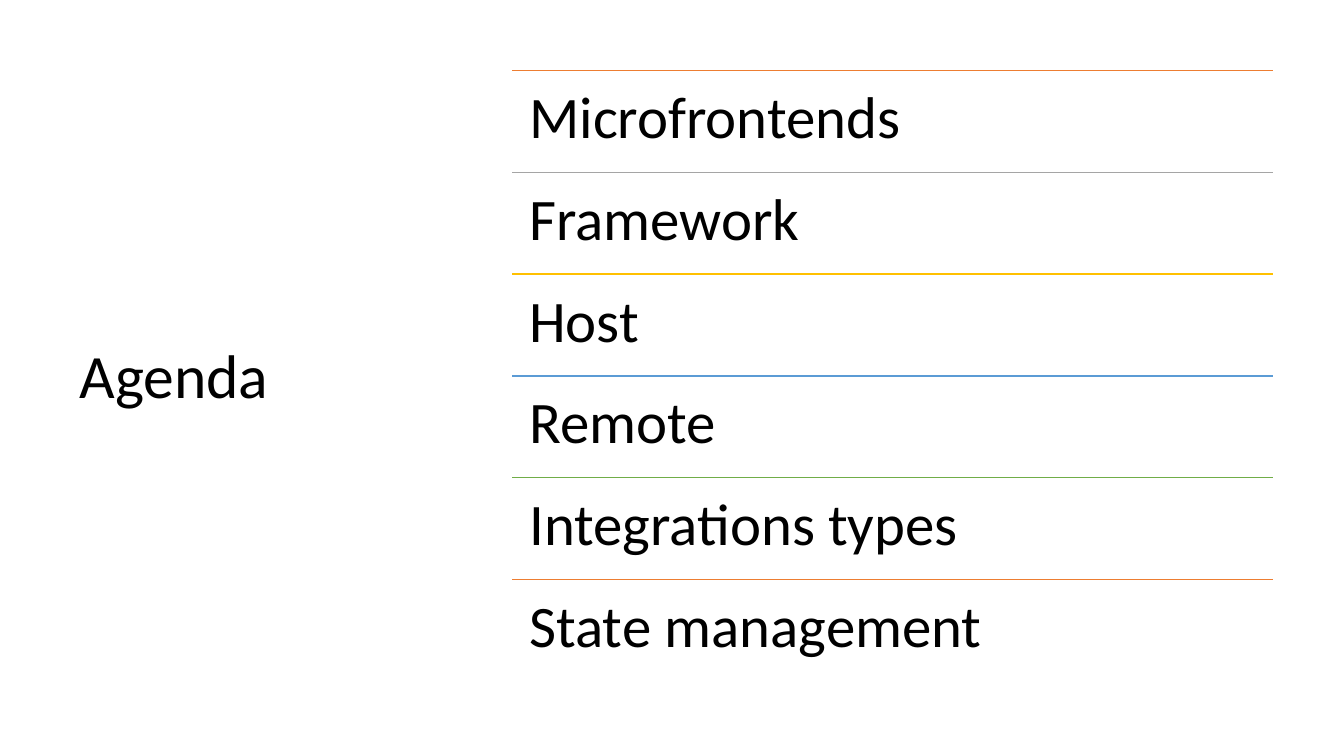
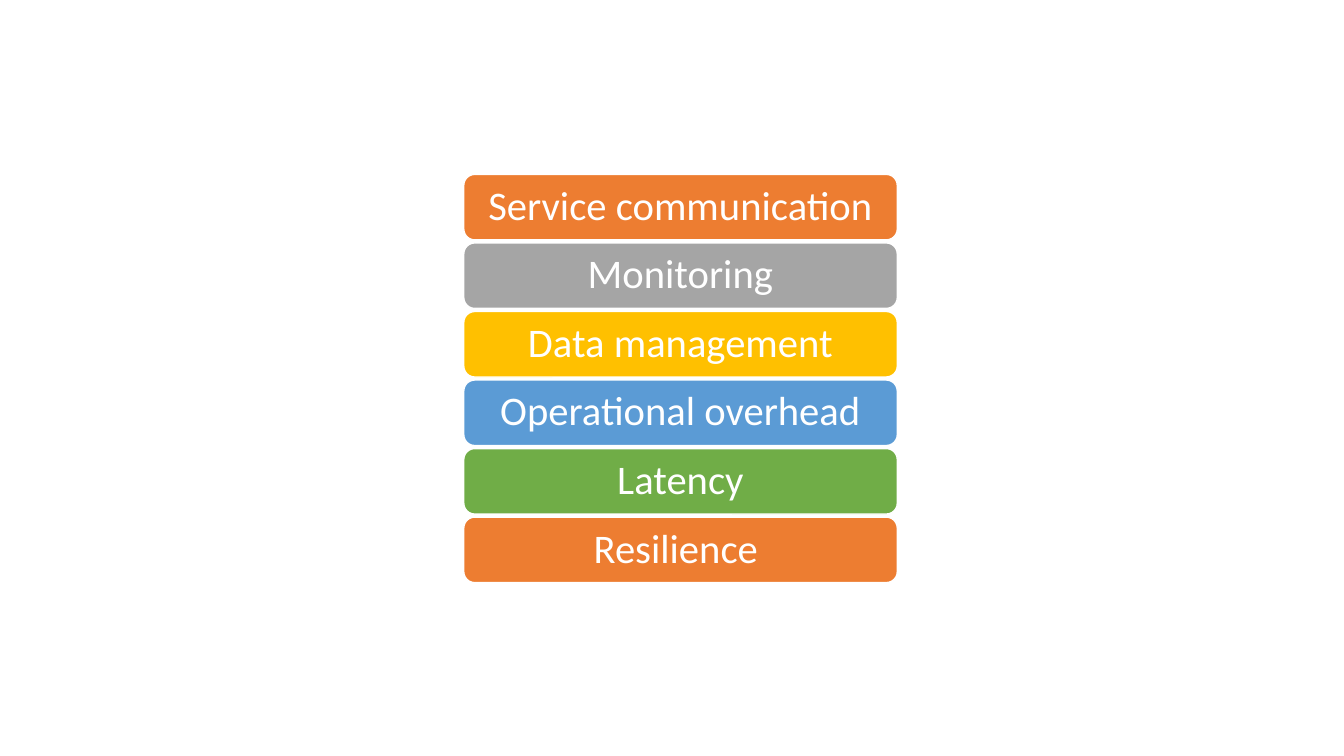
import pptx
import pptx.dml.color
import pptx.enum.shapes
import pptx.enum.text
import pptx.util
from lxml import etree
from pptx.util import Inches

FONT = "Calibri"
COLORS = {
    "text": "000000",
    "light": "FFFFFF",
    "orange": "ED7D31",
    "gray": "A5A5A5",
    "yellow": "FFC000",
    "blue": "5B9BD5",
    "green": "70AD47",
}
ACCENTS = ["orange", "gray", "yellow", "blue", "green", "orange"]

AGENDA = ["Microfrontends", "Framework", "Host", "Remote",
          "Integrations types", "State management"]
CHALLENGES = ["Service communication", "Monitoring", "Data management",
              "Operational overhead", "Latency", "Resilience "]

ALIGN = pptx.enum.text.PP_ALIGN
ANCHOR = pptx.enum.text.MSO_ANCHOR


def rgb(name):
    return pptx.dml.color.RGBColor.from_string(COLORS[name])


def write_text(shape, text, size, color="text", align=ALIGN.LEFT,
               anchor=ANCHOR.MIDDLE, inset=(0.1, 0.05)):
    """Fill a shape with one paragraph; inset is (horizontal, vertical)."""
    frame = shape.text_frame
    frame.word_wrap = True
    frame.vertical_anchor = anchor
    frame.margin_left = frame.margin_right = Inches(inset[0])
    frame.margin_top = frame.margin_bottom = Inches(inset[1])
    para = frame.paragraphs[0]
    para.alignment = align
    para.line_spacing = 0.9
    span = para.add_run()
    span.text = text
    span.font.name = FONT
    span.font.size = pptx.util.Pt(size)
    span.font.color.rgb = rgb(color)


def add_text(page, text, left, top, width, height, **text_format):
    box = page.shapes.add_textbox(
        Inches(left), Inches(top), Inches(width), Inches(height))
    write_text(box, text, **text_format)


def add_rule(page, left, top, width, color):
    rule = page.shapes.add_connector(
        pptx.enum.shapes.MSO_CONNECTOR.STRAIGHT,
        Inches(left), Inches(top), Inches(left + width), Inches(top))
    rule.line.color.rgb = rgb(color)
    rule.line.width = pptx.util.Pt(1)
    etree.SubElement(rule._element.spPr, pptx.oxml.ns.qn("a:effectLst"))


def add_bar(page, text, left, top, width, height, color):
    bar = page.shapes.add_shape(
        pptx.enum.shapes.MSO_SHAPE.ROUNDED_RECTANGLE,
        Inches(left), Inches(top), Inches(width), Inches(height))
    bar.shadow.inherit = False
    bar.fill.solid()
    bar.fill.fore_color.rgb = rgb(color)
    bar.line.color.rgb = rgb("light")
    bar.line.width = pptx.util.Pt(1)
    write_text(bar, text, size=29, color="light", align=ALIGN.CENTER,
               inset=(0.12, 0.06))


def build_agenda(page):
    left, first_top, width, row_height = 5.08, 0.7, 7.55, 1.01
    add_text(page, "Agenda", 0.69, first_top, 3.74, 6.11, size=44)
    for row, (topic, color) in enumerate(zip(AGENDA, ACCENTS)):
        top = first_top + row * row_height
        add_rule(page, left, top, width, color)
        add_text(page, topic, left, top, width, row_height, size=42,
                 anchor=ANCHOR.TOP, inset=(0.17, 0.17))


def build_challenges(page):
    first_top, step = 1.73, 0.68
    for row, (challenge, color) in enumerate(zip(CHALLENGES, ACCENTS)):
        add_bar(page, challenge, 4.6, first_top + row * step, 4.3, 0.65, color)


def main():
    deck = pptx.Presentation()
    deck.slide_width = Inches(13.33)
    deck.slide_height = Inches(7.5)
    blank = deck.slide_layouts[6]
    for build in (build_agenda, build_challenges):
        build(deck.slides.add_slide(blank))
    deck.save("out.pptx")


if __name__ == "__main__":
    main()
